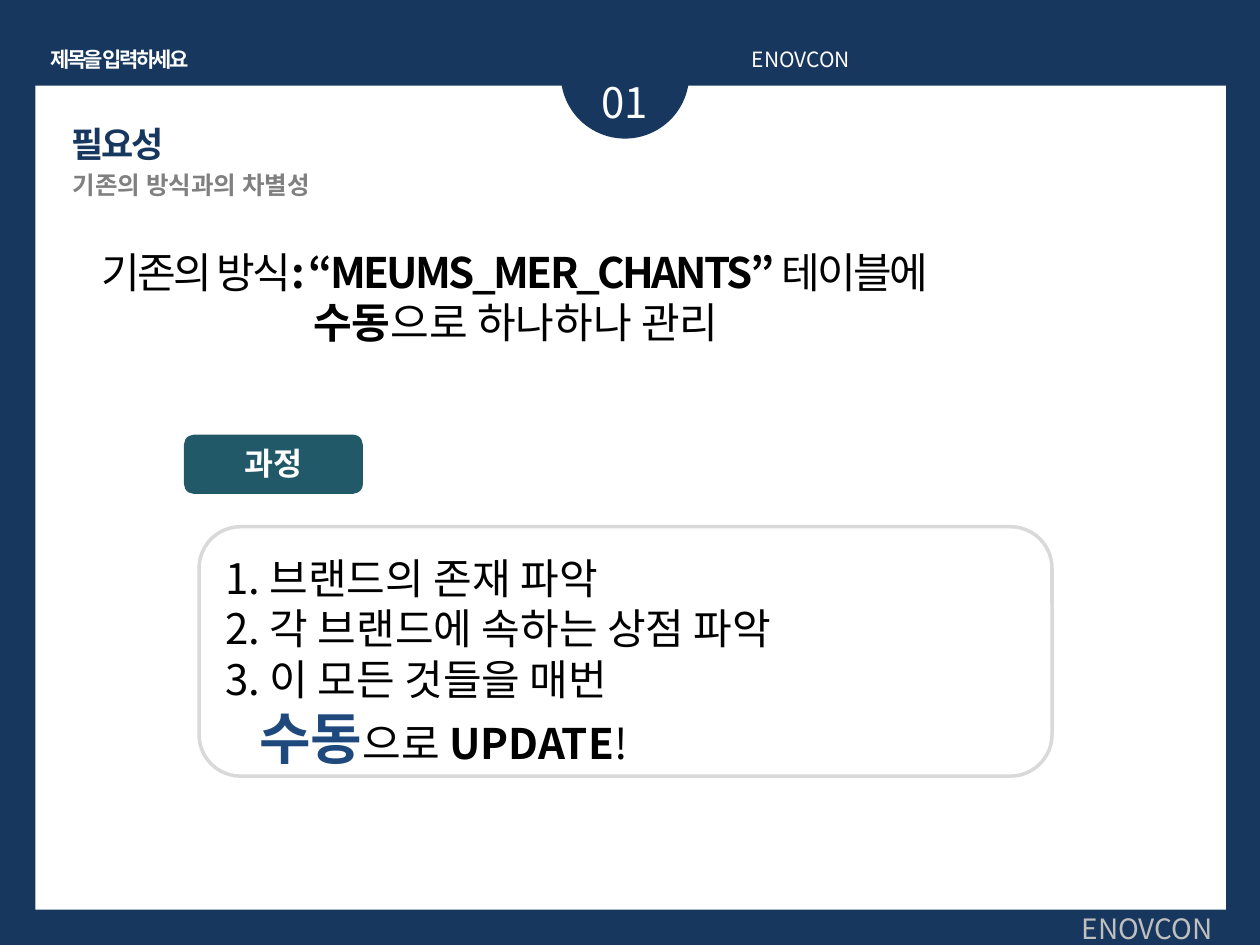
import pptx
import pptx.dml.color
import pptx.enum.shapes
import pptx.enum.text
import pptx.oxml.ns
import pptx.util
from lxml import etree

Pt = pptx.util.Pt
SHAPE = pptx.enum.shapes.MSO_SHAPE
ALIGN = pptx.enum.text.PP_ALIGN
NAVY, WHITE, BLACK = "17375E", "FFFFFF", "000000"
SANS = "Noto Sans CJK KR"
COMPANY = "ENOVCON"

BODY = dict(size=24, color=BLACK)
BOLD = dict(BODY, bold=True)
TIGHT = dict(BODY, spacing=-1.5)
TIGHT_BOLD = dict(BOLD, spacing=-1.5)

PANELS = [
    (SHAPE.RECTANGLE, (20.16, 48.96, 680.4, 470.88), WHITE, None),
    (SHAPE.ROUNDED_RECTANGLE, (105.12, 248.4, 102.24, 33.84), "215968", None),
    (SHAPE.OVAL, (320.4, 5.76, 73.44, 73.44), NAVY, None),
    (SHAPE.ROUNDED_RECTANGLE, (113.76, 300.96, 487.44, 142.56), None, "D9D9D9"),
]

TITLE = ((33.84, 66.24, 136.08, 60.48), "필요성",
         dict(size=20, color=NAVY, bold=True, spacing=-1.5, font="Arial"))

TEXTS = [
    ((314.64, 37.44, 84.96, 36), ALIGN.CENTER, True,
     [(0, [("01", dict(size=24, color=WHITE))])]),
    ((42.48, 134.64, 635.04, 94.32), ALIGN.LEFT, True,
     [(8.5, [("기존의 방식", TIGHT), (": “MEUMS_MER_CHANTS” ", TIGHT_BOLD),
             ("테이블에", TIGHT)]),
      (129.5, [("수동", BOLD), ("으로 하나하나 관리", BODY)])]),
    ((119.52, 248.4, 73.44, 28.8), ALIGN.CENTER, True,
     [(0, [("과정", dict(size=18, color=WHITE, bold=True))])]),
    ((121.68, 309.6, 470.16, 133.2), ALIGN.LEFT, True,
     [(0, [("1. 브랜드의 존재 파악", BODY)]),
      (0, [("2. 각 브랜드에 속하는 상점 파악", BODY)]),
      (0, [("3. 이 모든 것들을 매번", BODY)]),
      (19.5, [("수동", dict(size=32, color="1F497D", bold=True)),
              ("으로 ", BODY), ("UPDATE", BOLD), ("!", BODY)])]),
    ((17.28, 21.6, 102.24, 21.6), ALIGN.CENTER, False,
     [(0, [("제목을 입력하세요",
            dict(size=12, color=WHITE, bold=True, spacing=-1.5))])]),
    ((422.64, 21.6, 283.68, 21.6), ALIGN.JUSTIFY, True,
     [(0, [(COMPANY, dict(size=12, color=WHITE))])]),
    ((34.56, 92.16, 254.88, 24.48), ALIGN.LEFT, True,
     [(0, [("기존의 방식과의 차별성", dict(size=14, color="808080", bold=True))])]),
    ((563.76, 515.52, 136.08, 26.64), ALIGN.RIGHT, True,
     [(0, [(COMPANY, dict(size=16, color="BFBFBF"))])]),
]


def rgb(value):
    """Turn a hex string into a colour."""
    return pptx.dml.color.RGBColor.from_string(value)


def assign(target, values):
    """Set every attribute named in a dict."""
    for name, value in values.items():
        setattr(target, name, value)


def add_run(paragraph, text, style):
    """Add one formatted run, with its East Asian font."""
    run = paragraph.add_run()
    run.text = text
    face = style.get("font", SANS)
    assign(run.font, dict(size=Pt(style["size"]), bold=style.get("bold", False), name=face))
    run.font.color.rgb = rgb(style["color"])
    properties = run.font._element
    properties.set("spc", str(int(style.get("spacing", 0) * 100)))
    latin = properties.find(pptx.oxml.ns.qn("a:latin"))
    east_asian = etree.Element(pptx.oxml.ns.qn("a:ea"), typeface=face)
    latin.addnext(east_asian)


def add_panel(slide, kind, box, fill, line):
    """Add one background panel, filled or outlined."""
    panel = slide.shapes.add_shape(kind, *map(Pt, box))
    panel.shadow.inherit = False
    if fill:
        panel.fill.solid()
        panel.fill.fore_color.rgb = rgb(fill)
    else:
        panel.fill.background()
    if line:
        panel.line.color.rgb = rgb(line)
        panel.line.width = Pt(2)
    else:
        panel.line.fill.background()


def add_text(slide, box, align, wrap, paragraphs):
    """Add a text box whose line pitch is 1.2 times the largest size."""
    frame = slide.shapes.add_textbox(*map(Pt, box)).text_frame
    first_size = paragraphs[0][1][0][1]["size"]
    assign(frame, dict(word_wrap=wrap, margin_top=Pt(round(3.6 + first_size / 10, 2))))
    for index, (indent, runs) in enumerate(paragraphs):
        paragraph = frame.add_paragraph() if index else frame.paragraphs[0]
        largest = max(style["size"] for _, style in runs)
        assign(paragraph, dict(alignment=align, line_spacing=Pt(round(largest * 1.2, 2))))
        if indent:
            paragraph._p.get_or_add_pPr().set("marL", str(Pt(indent)))
        for text, style in runs:
            add_run(paragraph, text, style)


def place_title(slide, box, text, style):
    """Format the title placeholder and bring it in front of the panels."""
    title = slide.shapes.title
    assign(title, dict(zip(("left", "top", "width", "height"), map(Pt, box))))
    assign(title.text_frame, dict(
        word_wrap=True,
        auto_size=pptx.enum.text.MSO_AUTO_SIZE.NONE,
        vertical_anchor=pptx.enum.text.MSO_ANCHOR.TOP))
    paragraph = title.text_frame.paragraphs[0]
    paragraph.alignment = ALIGN.LEFT
    add_run(paragraph, text, style)
    title.element.getparent().append(title.element)


def main():
    """Build the slide and save it."""
    deck = pptx.Presentation()
    assign(deck, dict(slide_width=Pt(720), slide_height=Pt(540)))
    slide = deck.slides.add_slide(deck.slide_layouts[5])
    slide.background.fill.solid()
    slide.background.fill.fore_color.rgb = rgb(NAVY)
    for panel in PANELS:
        add_panel(slide, *panel)
    place_title(slide, *TITLE)
    for text in TEXTS:
        add_text(slide, *text)
    deck.save("out.pptx")


if __name__ == "__main__":
    main()
